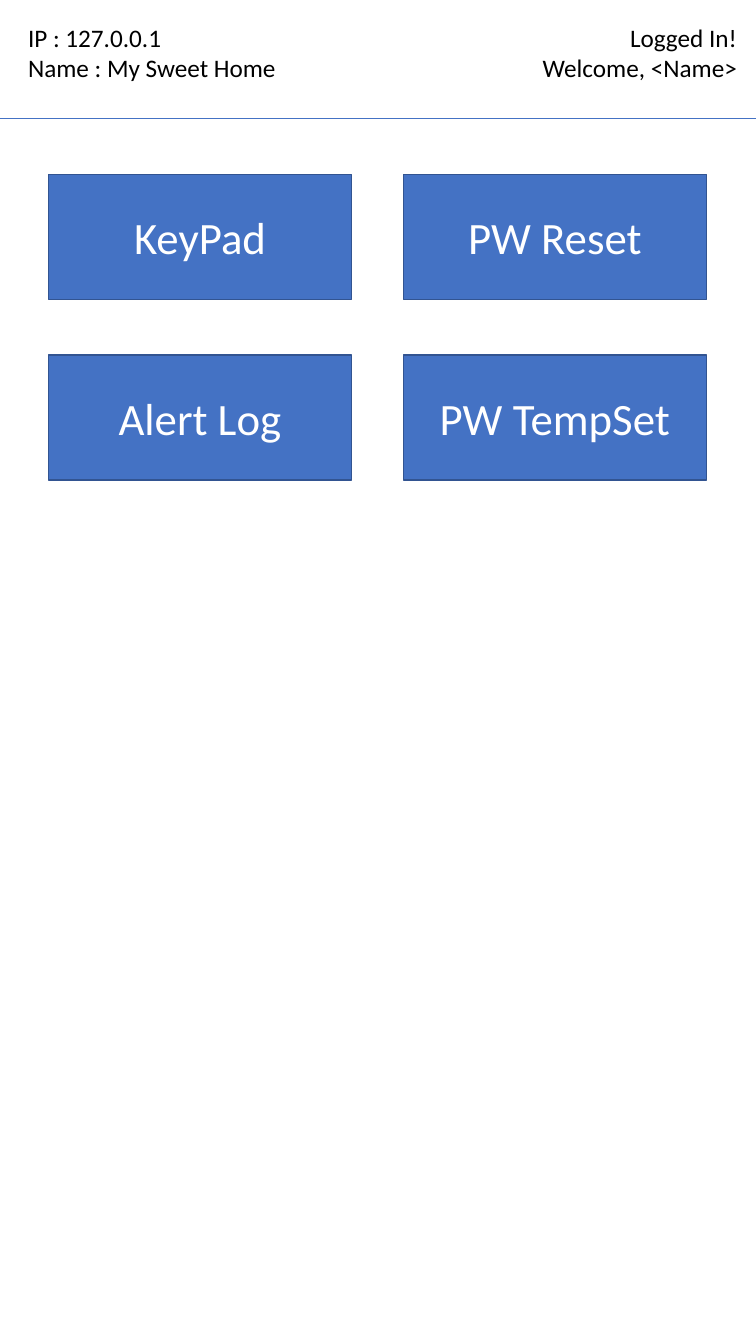
"""Build the home screen of a door lock app: a status header and a menu of buttons."""
from dataclasses import dataclass

from pptx import Presentation
from pptx import util as u
from pptx.dml.color import RGBColor
from pptx.enum import shapes, text
from pptx.oxml.ns import qn
from lxml import etree


@dataclass(frozen=True)
class Theme:
    """Colours, font and type sizes of the screen."""
    font: str = "Calibri"
    accent: RGBColor = RGBColor(0x44, 0x72, 0xC4)
    border: RGBColor = RGBColor(0x32, 0x54, 0x91)
    ink: RGBColor = RGBColor(0, 0, 0)
    paper: RGBColor = RGBColor(255, 255, 255)
    status_size: int = 18
    button_size: int = 32
    rule_width: float = 0.5
    border_width: float = 1


THEME = Theme()


@dataclass(frozen=True)
class Box:
    """A rectangle in inches."""
    left: float
    top: float
    width: float
    height: float

    def inches(self):
        """Return the four measures as lengths."""
        return [u.Inches(value) for value in (self.left, self.top, self.width, self.height)]


def write(shape, content, size, color, align, frame_format):
    """Put one formatted paragraph into a shape."""
    frame = shape.text_frame
    for name, value in frame_format.items():
        setattr(frame, name, value)
    paragraph = frame.paragraphs[0]
    paragraph.text = content
    paragraph.alignment = align
    for run in paragraph.runs:
        run.font.color.rgb = color
        for name, value in {"name": THEME.font, "size": u.Pt(size)}.items():
            setattr(run.font, name, value)


def add_header(slide, box):
    """Draw the device and login status above a full-width rule."""
    right, bottom = box.left + box.width, box.top + box.height
    rule = slide.shapes.add_connector(
        shapes.MSO_CONNECTOR.STRAIGHT,
        *[u.Inches(value) for value in (box.left, bottom, right, bottom)])
    rule.line.color.rgb = THEME.accent
    rule.line.width = u.Pt(THEME.rule_width)
    etree.SubElement(rule.element.spPr, qn("a:effectLst"))

    device_width, login_width = 2.69, 2.15
    statuses = (
        ("IP : 127.0.0.1\vName : My Sweet Home", box.left + 0.18, device_width, text.PP_ALIGN.LEFT),
        ("Logged In!\vWelcome, <Name>", right - 0.09 - login_width, login_width, text.PP_ALIGN.RIGHT),
    )
    for content, left, width, align in statuses:
        status = slide.shapes.add_textbox(*Box(left, box.top + 0.17, width, 0.71).inches())
        write(status, content, THEME.status_size, THEME.ink, align,
              {"word_wrap": False, "auto_size": text.MSO_AUTO_SIZE.SHAPE_TO_FIT_TEXT})


def add_button(slide, label, box):
    """Draw one labelled menu button."""
    button = slide.shapes.add_shape(shapes.MSO_SHAPE.RECTANGLE, *box.inches())
    button.shadow.inherit = False
    button.fill.solid()
    button.fill.fore_color.rgb = THEME.accent
    button.line.color.rgb = THEME.border
    button.line.width = u.Pt(THEME.border_width)
    write(button, label, THEME.button_size, THEME.paper, text.PP_ALIGN.CENTER,
          {"word_wrap": True, "vertical_anchor": text.MSO_ANCHOR.MIDDLE})


def add_menu(slide, box, labels, columns=2, gap_x=0.51, gap_y=0.55):
    """Fill the box with an even grid of buttons."""
    rows = -(-len(labels) // columns)
    width = (box.width - gap_x * (columns - 1)) / columns
    height = (box.height - gap_y * (rows - 1)) / rows
    for index, label in enumerate(labels):
        row, column = divmod(index, columns)
        add_button(slide, label, Box(box.left + column * (width + gap_x),
                                     box.top + row * (height + gap_y), width, height))


def main():
    """Create the presentation and save it."""
    presentation = Presentation()
    presentation.slide_width = u.Inches(7.5)
    presentation.slide_height = u.Inches(13.33)
    slide = presentation.slides.add_slide(presentation.slide_layouts[6])
    slide.background.fill.solid()
    slide.background.fill.fore_color.rgb = THEME.paper
    add_header(slide, Box(0, 0, 7.5, 1.17))
    add_menu(slide, Box(0.48, 1.73, 6.53, 3.03),
             ("KeyPad", "PW Reset", "Alert Log", "PW TempSet"))
    presentation.save("out.pptx")


main()
